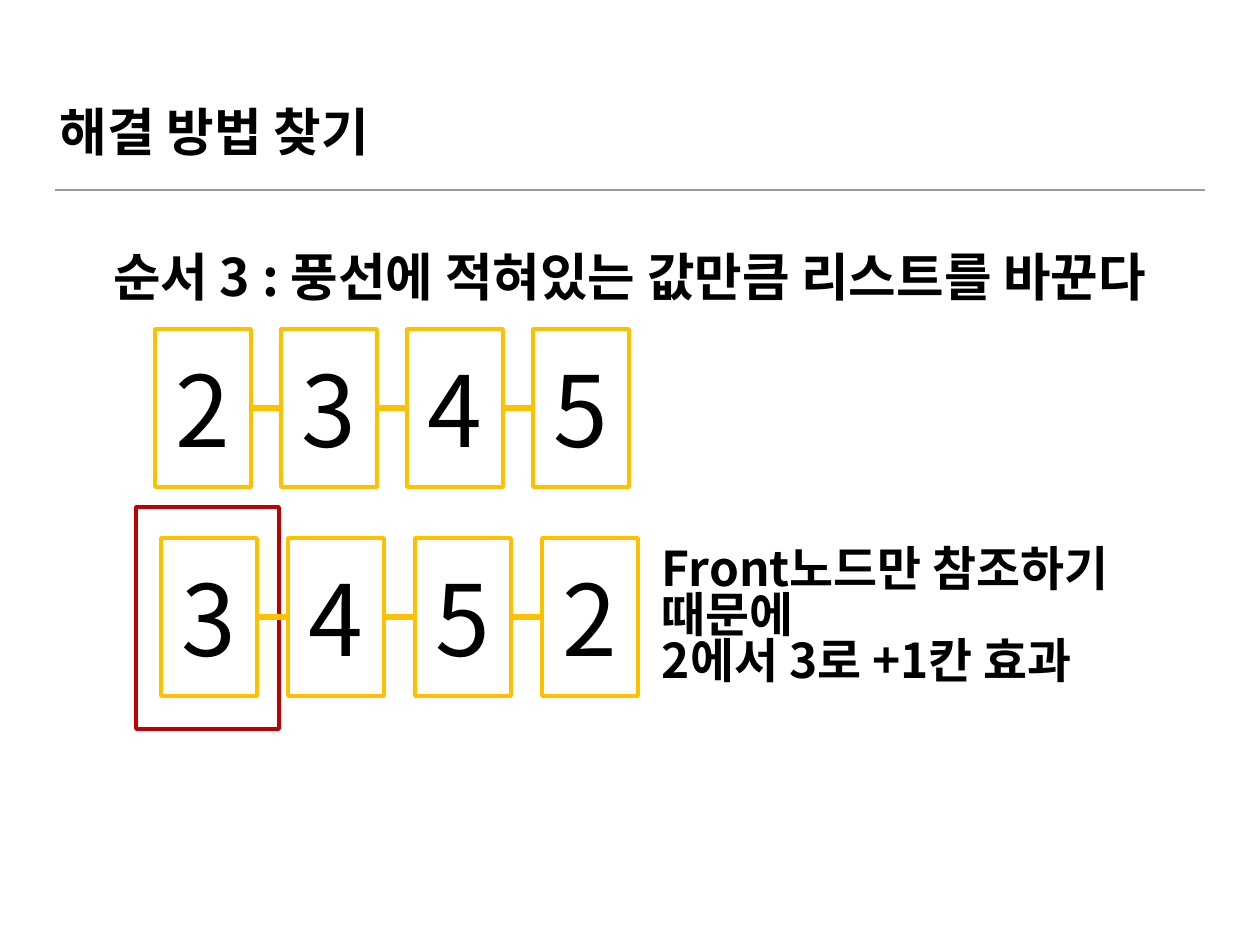
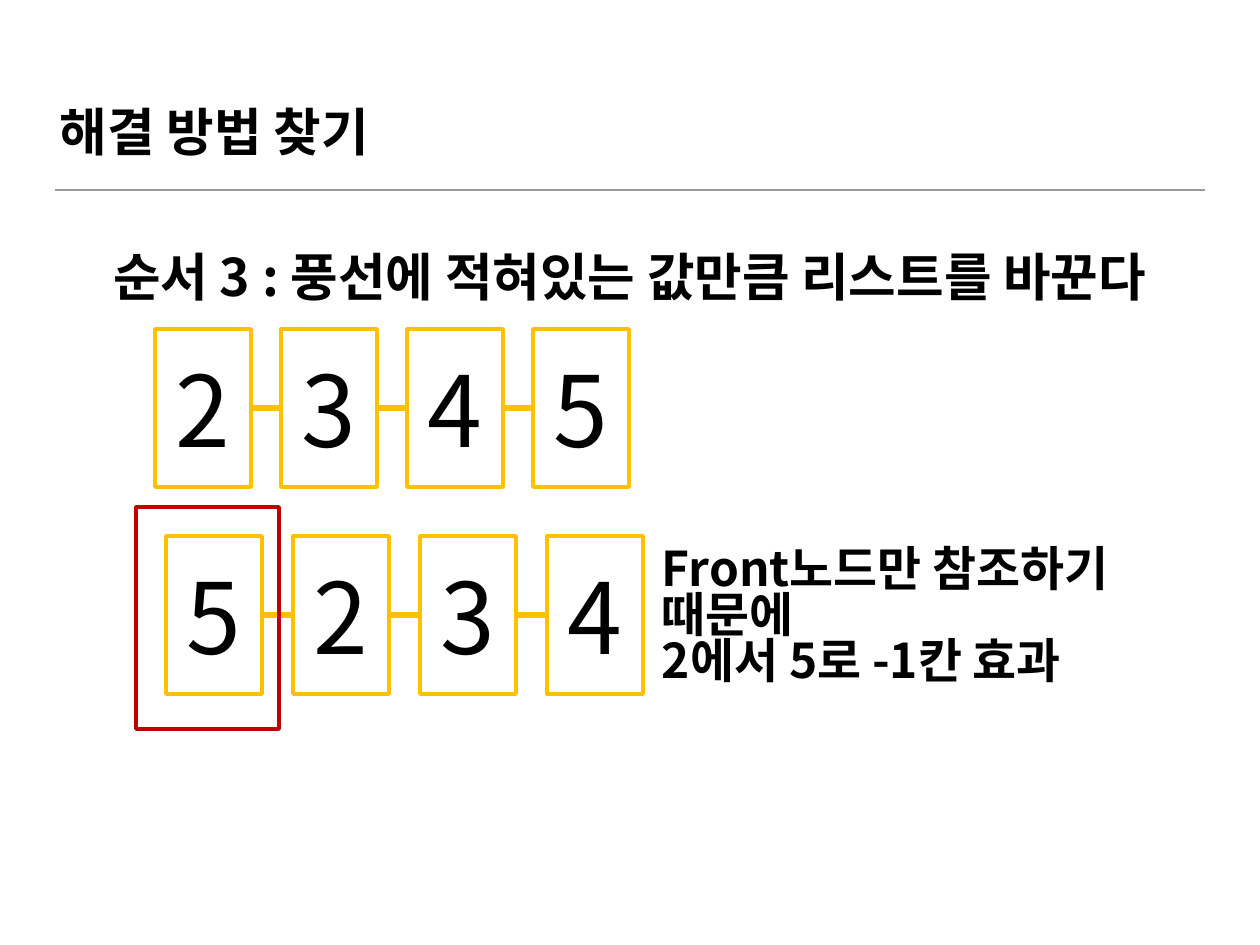
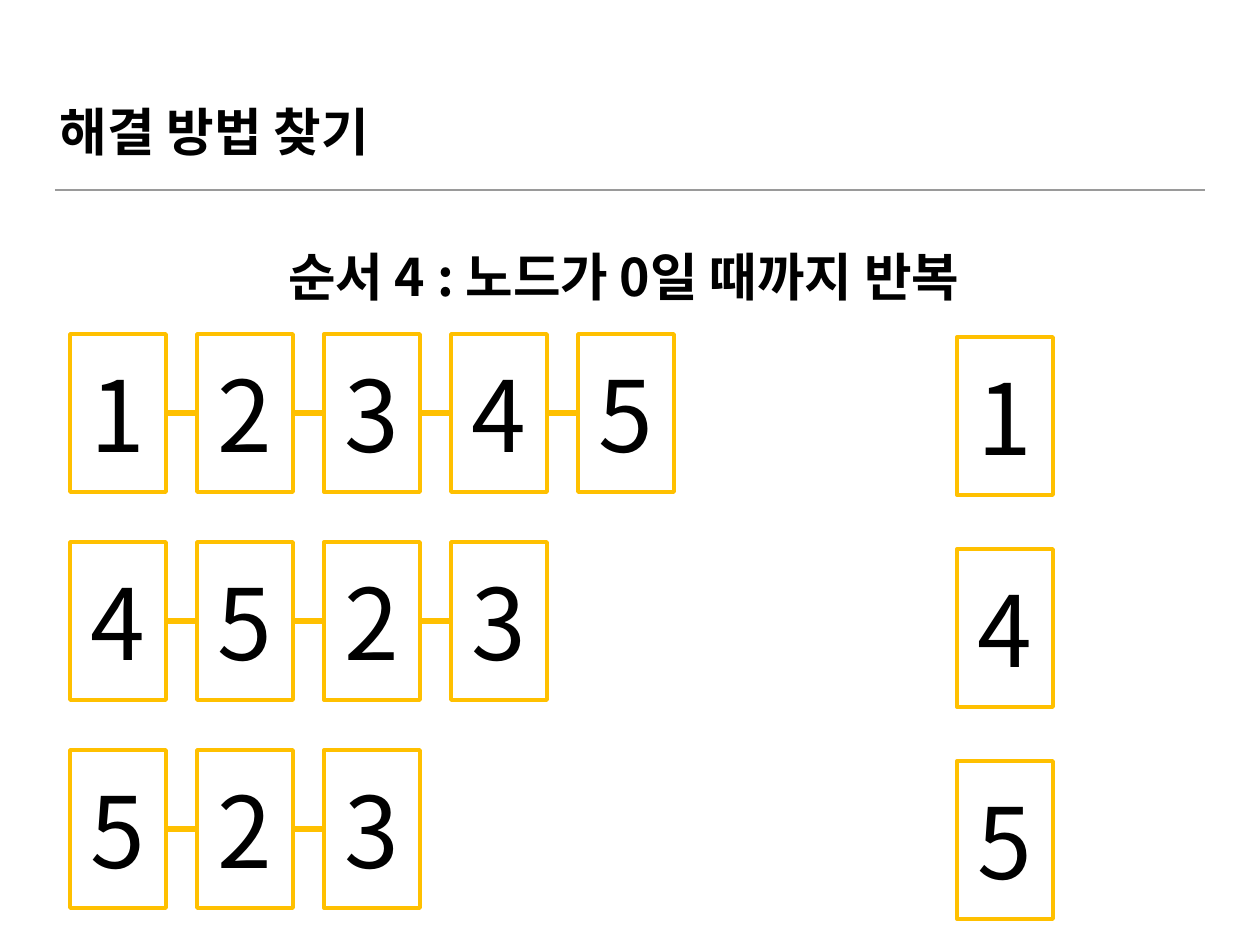
from lxml import etree
from pptx import Presentation
from pptx import util as u
from pptx.dml.color import RGBColor
from pptx.enum import shapes, text
from pptx.oxml.ns import qn

PX_PER_INCH = 88.6
FONT = "Noto Sans CJK KR"
BLACK, GREY, AMBER, RED = "000000", "9A9A9A", "FFC000", "C00000"
TITLE = "해결 방법 찾기"
LEFT, WIDTH = 55, 1149
NODE_W, NODE_H = 96, 158
STEP_3 = "순서 3 : 풍선에 적혀있는 값만큼 리스트를 바꾼다"
STEP_4 = "순서 4 : 노드가 0일 때까지 반복 "


def px(n):
    """Turn pixels into EMU."""
    return u.Inches(n / PX_PER_INCH)


def color(value):
    """Turn a hex string into a colour."""
    return RGBColor.from_string(value)


def write(sp, lines, size=42, bold=True, align="LEFT", anchor="BOTTOM", spacing=1.0):
    """Fill a shape with one formatted paragraph per line."""
    tf = sp.text_frame
    tf.word_wrap = True
    tf.auto_size = text.MSO_AUTO_SIZE.NONE
    tf.vertical_anchor = text.MSO_ANCHOR[anchor]
    tf.margin_left = tf.margin_right = tf.margin_top = tf.margin_bottom = px(5)
    for i, line in enumerate(lines):
        p = tf.add_paragraph() if i else tf.paragraphs[0]
        p.alignment = text.PP_ALIGN[align]
        p.line_spacing = spacing
        r = p.add_run()
        r.text = line
        r.font.size = u.Pt(size)
        r.font.bold = bold
        r.font.name = FONT
        r.font.color.rgb = color(BLACK)
        etree.SubElement(r.font._element, qn("a:ea"), typeface=FONT)


def add_text(s, left, top, width, height, lines, **fmt):
    """Add a text box."""
    sp = s.shapes.add_textbox(px(left), px(top), px(width), px(height))
    write(sp, lines, **fmt)


def add_line(s, x1, x2, y, line, weight):
    """Add a horizontal line without a shadow."""
    sp = s.shapes.add_connector(shapes.MSO_CONNECTOR.STRAIGHT, px(x1), px(y), px(x2), px(y))
    sp.line.color.rgb = color(line)
    sp.line.width = u.Pt(weight)
    etree.SubElement(sp._element.spPr, qn("a:effectLst"))


def add_box(s, left, top, width, height, line):
    """Add an unfilled rectangle."""
    sp = s.shapes.add_shape(shapes.MSO_SHAPE.RECTANGLE, px(left), px(top), px(width), px(height))
    sp.shadow.inherit = False
    sp.fill.background()
    sp.line.color.rgb = color(line)
    sp.line.width = u.Pt(3)
    return sp


def add_node(s, left, top, value):
    """Add one list node with its number."""
    sp = add_box(s, left, top, NODE_W, NODE_H, AMBER)
    write(sp, [value], size=80, bold=False, align="CENTER", anchor="MIDDLE")


def add_chain(s, left, top, values, pitch=127):
    """Add a row of nodes joined by links."""
    for i, value in enumerate(values):
        x = left + i * pitch
        if i:
            add_line(s, x - pitch + NODE_W, x, top + NODE_H / 2, AMBER, 4.5)
        add_node(s, x, top, value)


def add_front_frame(s):
    """Mark the front node of the changed list."""
    add_box(s, 136, 507, 143, 222, RED)


def add_step(prs, heading):
    """Add a slide with the shared title, rule and step heading."""
    s = prs.slides.add_slide(prs.slide_layouts[5])
    add_line(s, LEFT, LEFT + WIDTH + 1, 190, GREY, 1)
    sp = s.shapes.title
    sp.left, sp.top, sp.width, sp.height = px(LEFT), px(32), px(WIDTH), px(135)
    write(sp, [TITLE])
    add_text(s, LEFT, 218, WIDTH, 94, [heading], align="CENTER")
    return s


def add_shift_step(prs, effect):
    """Add a step that starts from the list 2 to 5 and explains its shift."""
    s = add_step(prs, STEP_3)
    add_text(s, 657, 532, 518, 161, ["Front노드만 참조하기 때문에 ", effect],
             size=38.9, spacing=0.8)
    add_chain(s, 155, 329, "2345", pitch=126)
    return s


def main():
    """Build the three slides."""
    prs = Presentation()
    prs.slide_width, prs.slide_height = px(1260), px(945)

    s = add_shift_step(prs, "2에서 3로 +1칸 효과")
    add_front_frame(s)
    add_chain(s, 161, 538, "3452")

    s = add_shift_step(prs, "2에서 5로 -1칸 효과")
    add_chain(s, 166, 536, "5234")
    add_front_frame(s)

    s = add_step(prs, STEP_4)
    for i, (chain, removed) in enumerate([("12345", "1"), ("4523", "4"), ("523", "5")]):
        add_chain(s, 70, 334 + i * 208, chain)
        add_node(s, 957, 337 + i * 212, removed)

    prs.save("out.pptx")


main()
